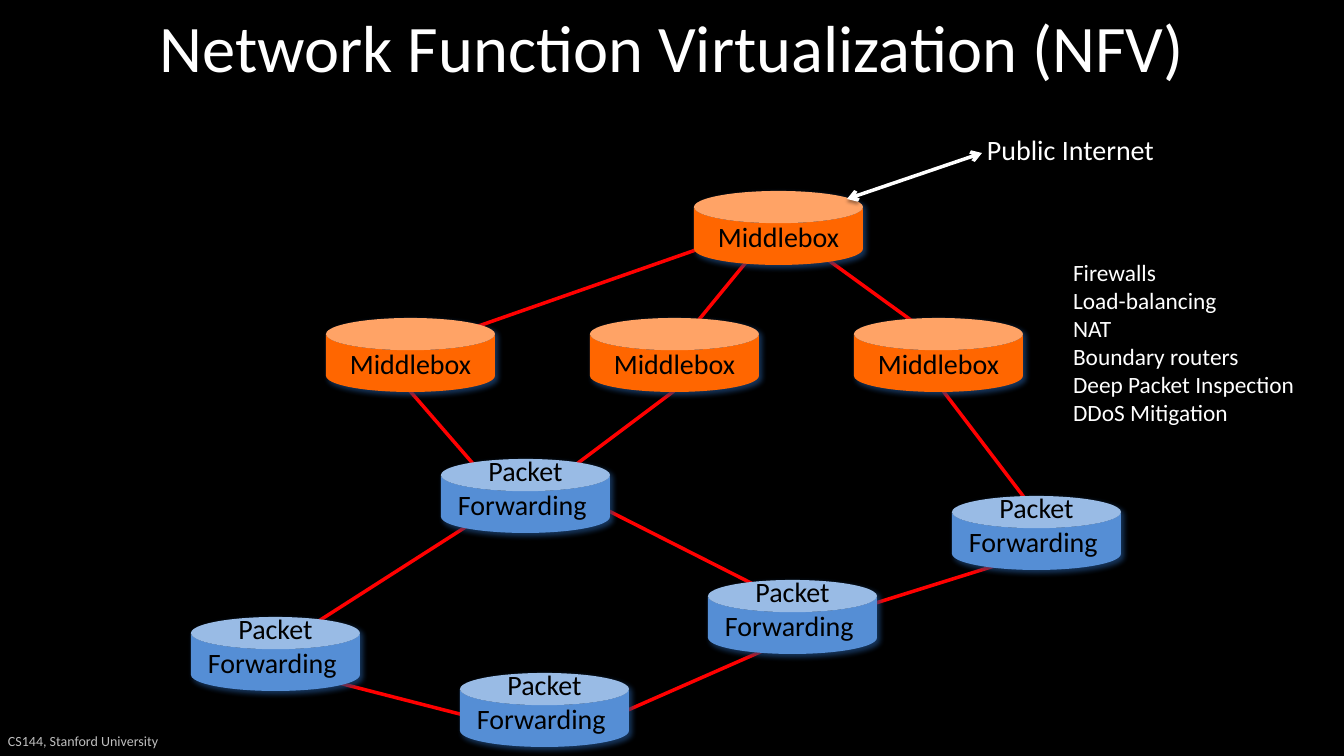
from lxml import etree
from pptx import Presentation, util as u
from pptx.dml.color import RGBColor
from pptx.enum import shapes, text
from pptx.oxml.ns import qn

PX = 914400 / 84
COLORS = {"black": "000000", "white": "FFFFFF", "gray": "BFBFBF", "red": "FF0000",
          "orange": "FF6600", "blue": "558ED5", "navy": "1F497D"}


def add_shadow(shape, color, opacity, blur, distance, angle):
    effects = etree.SubElement(shape._element.spPr, qn("a:effectLst"))
    shadow = etree.SubElement(effects, qn("a:outerShdw"), blurRad=str(u.Pt(blur)),
                              dist=str(u.Pt(distance)), dir=str(angle * 60000), rotWithShape="0")
    shade = etree.SubElement(shadow, qn("a:srgbClr"), val=COLORS[color])
    etree.SubElement(shade, qn("a:alpha"), val=str(opacity * 1000))


def write(shape, lines, size, color="white", align=text.PP_ALIGN.LEFT,
          anchor=text.MSO_ANCHOR.TOP, insets=(8, 4, 8, 4), wrap=False):
    frame = shape.text_frame
    frame.word_wrap = wrap
    frame.auto_size = text.MSO_AUTO_SIZE.NONE
    frame.vertical_anchor = anchor
    frame.margin_left, frame.margin_top, frame.margin_right, frame.margin_bottom = (
        round(inset * PX) for inset in insets)
    frame.text = "\n".join(lines)
    for paragraph in frame.paragraphs:
        paragraph.alignment = align
        paragraph.font.name = "Calibri"
        paragraph.font.size = u.Pt(size)
        paragraph.font.color.rgb = RGBColor.from_string(COLORS[color])


presentation = Presentation()
presentation.slide_width, presentation.slide_height = u.Inches(16), u.Inches(9)
slide = presentation.slides.add_slide(presentation.slide_layouts[5])
slide.background.fill.solid()
slide.background.fill.fore_color.rgb = RGBColor.from_string(COLORS["black"])

# Title
title = slide.shapes.title
title.left, title.top, title.width, title.height = (
    round(length * PX) for length in (67, -17, 1210, 126))
write(title, ["Network Function Virtualization (NFV)"], 57, align=text.PP_ALIGN.CENTER,
      anchor=text.MSO_ANCHOR.MIDDLE, wrap=True)

# Network links, then the nodes that cover their ends, then the Internet arrow
links = [
    (275, 649, 525, 489), (591, 502, 753, 584), (603, 721, 792, 638), (257, 662, 487, 721),
    (847, 612, 1023, 557), (495, 489, 410, 391), (566, 472, 674, 391), (1036, 513, 931, 375),
    (730, 238, 410, 350), (766, 238, 674, 350), (813, 249, 937, 339),
]
internet_link = (847, 199, 982, 153)
connectors = []
for ends in links + [internet_link]:
    connector = slide.shapes.add_connector(
        shapes.MSO_CONNECTOR.STRAIGHT, *(round(end * PX) for end in ends))
    color = "white" if ends == internet_link else "red"
    connector.line.color.rgb = RGBColor.from_string(COLORS[color])
    connector.line.width = u.Pt(3)
    if ends == internet_link:
        for arrowhead in ("a:headEnd", "a:tailEnd"):
            etree.SubElement(connector.line._get_or_add_ln(), qn(arrowhead), type="arrow")
    add_shadow(connector, "black", 38, 3.1, 1.6, 90)
    connectors.append(connector)

# Nodes: packet text sits higher, reaching onto the lid of its can
packet = ("blue", ["Packet", "Forwarding "], -27)
middlebox = ("orange", ["Middlebox"], 6)
nodes = [(x, y, packet) for x, y in
         [(191, 617), (460, 673), (708, 580), (441, 459), (952, 496)]]
nodes += [(326 + 264 * column, 318, middlebox) for column in range(3)]
nodes += [(694, 191, middlebox)]
for x, y, (color, lines, top_inset) in nodes:
    can = slide.shapes.add_shape(
        shapes.MSO_SHAPE.CAN, *(round(length * PX) for length in (x, y, 169, 74)))
    can.adjustments[0] = 0.436
    can.fill.solid()
    can.fill.fore_color.rgb = RGBColor.from_string(COLORS[color])
    can.line.fill.background()
    add_shadow(can, "navy", 75, 5, 3, 45)
    write(can, lines, 24, "black", text.PP_ALIGN.CENTER, text.MSO_ANCHOR.MIDDLE,
          (12, top_inset, 12, 6))

# Bring the Internet arrow above the nodes
slide.shapes._spTree.append(connectors[-1]._element)

# Labels
middle = text.MSO_ANCHOR.MIDDLE
functions = ["Firewalls", "Load-balancing", "NAT", "Boundary routers",
             "Deep Packet Inspection", "DDoS Mitigation"]
for box, lines, style in [
    ((979, 129, 186, 76), ["Public Internet"], {"size": 24}),
    ((1065, 254, 240, 178), functions, {"size": 20}),
    ((0, 724, 252, 34), ["CS144, Stanford University"],
     {"size": 12, "color": "gray", "anchor": middle, "wrap": True}),
]:
    label = slide.shapes.add_textbox(*(round(length * PX) for length in box))
    write(label, lines, **style)

presentation.save("out.pptx")
